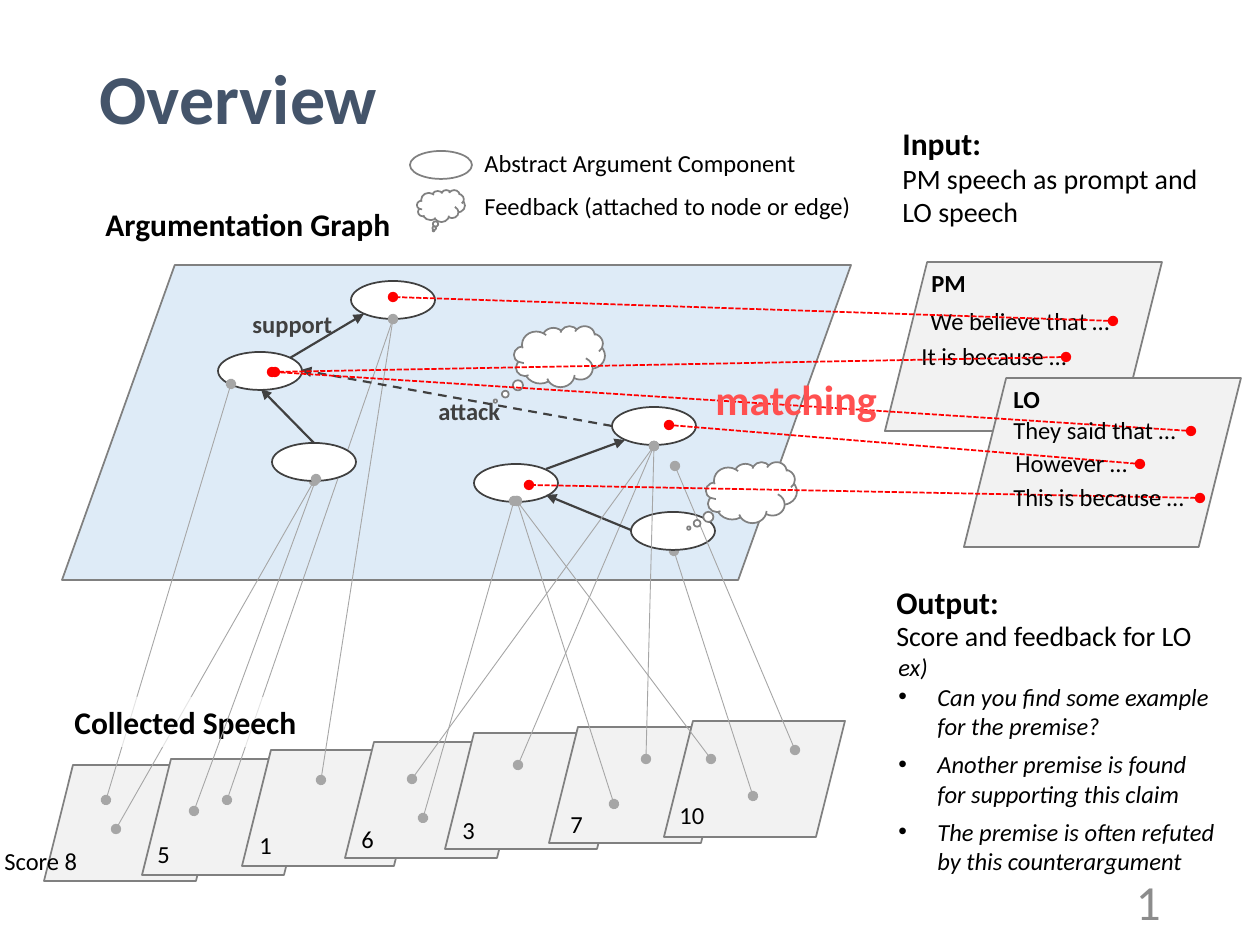
"""Build the overview slide: argumentation graph, collected speeches, input and output."""
from lxml import etree
from pptx import Presentation
from pptx import util as u
from pptx.dml.color import RGBColor
from pptx.enum import shapes, text
from pptx.oxml.ns import qn

SCALE = 914400 / 126
KIND = shapes.MSO_SHAPE
GRAY, DARK, RED, BLACK = "808080", "404040", "FF0000", "000000"

presentation = Presentation()
presentation.slide_width, presentation.slide_height = u.Inches(10), u.Inches(7.5)
slide = presentation.slides.add_slide(presentation.slide_layouts[5])


def px(*lengths):
    return [u.Emu(round(length * SCALE)) for length in lengths]


def color(value):
    return RGBColor.from_string(value)


def add_shape(kind, box, fill="FFFFFF", line=GRAY, adjustments=()):
    shape = slide.shapes.add_shape(kind, *px(*box))
    shape.shadow.inherit = False
    if fill:
        shape.fill.solid()
        shape.fill.fore_color.rgb = color(fill)
    else:
        shape.fill.background()
    if line:
        shape.line.color.rgb = color(line)
        shape.line.width = u.Pt(1)
    else:
        shape.line.fill.background()
    for index, value in enumerate(adjustments):
        shape.adjustments[index] = value
    return shape


def add_line(ends, line, width, dash=None, head=None, tail=None):
    connector = slide.shapes.add_connector(shapes.MSO_CONNECTOR.STRAIGHT, *px(*ends))
    connector.line.color.rgb = color(line)
    connector.line.width = u.Pt(width)
    outline = connector.line._get_or_add_ln()
    for tag, key, value in (("a:prstDash", "val", dash), ("a:headEnd", "type", head),
                            ("a:tailEnd", "type", tail)):
        if value:
            etree.SubElement(outline, qn(tag)).set(key, value)
    etree.SubElement(connector._element.spPr, qn("a:effectLst"))


def add_text(words, box, size=14, ink=BLACK, bold=False, italic=False, wrap=False,
             align=text.PP_ALIGN.LEFT, anchor=text.MSO_ANCHOR.TOP, shape=None):
    shape = shape or slide.shapes.add_textbox(*px(*box))
    shape.left, shape.top, shape.width, shape.height = px(*box)
    frame = shape.text_frame
    frame.word_wrap, frame.vertical_anchor = wrap, anchor
    frame.text = words
    for paragraph in frame.paragraphs:
        paragraph.alignment = align
        for run in paragraph.runs:
            font = run.font
            font.name, font.size, font.bold, font.italic = "Calibri", u.Pt(size), bold, italic
            font.color.rgb = color(ink)
    return shape


title = add_text("Overview", (87, 43, 1086, 117), size=40, ink="44546A", bold=True, wrap=True,
                 anchor=text.MSO_ANCHOR.MIDDLE, shape=slide.shapes.title)
title.text_frame.paragraphs[0].line_spacing = 0.9
add_text("1", (890, 876, 283, 50), size=28, ink="8C8C8C", wrap=True,
         align=text.PP_ALIGN.RIGHT, anchor=text.MSO_ANCHOR.MIDDLE)

speeches = [(44, 765, 181), (142, 759, 171), (242, 750, 181), (345, 742, 181),
            (445, 733, 181), (549, 727, 181), (664, 721, 181)]
for left, top, width in speeches:
    add_shape(KIND.PARALLELOGRAM, (left, top, width, 116), fill="F2F2F2")
add_shape(KIND.PARALLELOGRAM, (62, 265, 789, 315), fill="DEEBF7", adjustments=[0.358])
for left, top in ((885, 262), (964, 378)):
    add_shape(KIND.PARALLELOGRAM, (left, top, 277, 169), fill="F2F2F2")

links_behind = [(314, 481, 116, 829), (674, 551, 753, 796), (393, 319, 227, 800)]
links = [(231, 384, 106, 800), (517, 501, 614, 804), (514, 501, 423, 818),
         (654, 446, 646, 759), (654, 446, 518, 765), (393, 319, 321, 780)]
links_front = [(517, 501, 711, 759), (654, 446, 412, 779),
               (675, 466, 795, 750), (316, 479, 194, 811)]
link_style = dict(line="A6A6A6", width=0.5, head="oval", tail="oval")

for ends in links_behind:
    add_line(ends, **link_style)
for left, top in ((218, 352), (351, 281), (474, 464), (612, 407), (631, 512), (272, 443)):
    add_shape(KIND.OVAL, (left, top, 84, 38), line=DARK)
for ends in links:
    add_line(ends, **link_style)
for ends, dash in (((290, 358, 364, 314), None), ((546, 469, 625, 440), None),
                   ((631, 530, 546, 495), None), ((314, 443, 261, 389), None),
                   ((612, 426, 301, 370), "dash")):
    add_line(ends, DARK, 1.25, dash=dash, tail="triangle")

heading = add_shape(KIND.RECTANGLE, (62, 697, 247, 50), line=None)
fill_color = heading._element.spPr.find(qn("a:solidFill"))[0]
etree.SubElement(fill_color, qn("a:alpha")).set("val", "70000")
add_text("Collected Speech", (62, 697, 247, 50), size=18, bold=True, shape=heading)
for ends in links_front:
    add_line(ends, **link_style)

add_shape(KIND.OVAL, (410, 151, 62, 28))
for box, fill, tip in (((417, 190, 48, 32), None, (-0.154, 0.768)),
                       ((706, 462, 91, 61), "FFFFFF", (-0.689, 0.584)),
                       ((514, 326, 91, 61), "FFFFFF", (-0.705, 0.731))):
    add_shape(KIND.CLOUD_CALLOUT, box, fill=fill, adjustments=tip)

red_dashes = dict(line=RED, width=1, dash="sysDash", head="oval", tail="oval")
for ends in ((1191, 431, 275, 372), (1140, 464, 669, 425), (1200, 498, 529, 485)):
    add_line(ends, **red_dashes)

for words, left, top, width, size, bold, ink in (
        ("Argumentation Graph", 93, 199, 312, 18, True, BLACK),
        ("Input:", 890, 118, 105, 18, True, BLACK),
        ("Output:", 884, 577, 129, 18, True, BLACK),
        ("Score and feedback for LO", 884, 612, 329, 16, False, BLACK),
        ("matching", 703, 367, 189, 24, True, "FF5050"),
        ("Abstract Argument Component", 472, 142, 340, 14, False, BLACK),
        ("Feedback (attached to node or edge)", 472, 185, 396, 14, False, BLACK),
        ("support", 240, 303, 106, 14, True, DARK),
        ("attack", 426, 390, 88, 14, True, DARK),
        ("PM", 919, 262, 60, 14, True, BLACK),
        ("We believe that …", 918, 300, 223, 14, False, BLACK),
        ("It is because …", 909, 335, 223, 14, False, BLACK),
        ("LO", 1001, 378, 52, 14, True, BLACK),
        ("They said that …", 1001, 409, 189, 14, False, BLACK),
        ("However …", 1003, 442, 139, 14, False, BLACK),
        ("This is because …", 1001, 476, 198, 14, False, BLACK),
        ("Score 8", -8, 840, 98, 14, False, BLACK),
        ("5", 145, 833, 38, 14, False, BLACK),
        ("1", 247, 824, 38, 14, False, BLACK),
        ("6", 349, 818, 38, 14, False, BLACK),
        ("3", 450, 809, 38, 14, False, BLACK),
        ("7", 558, 803, 38, 14, False, BLACK),
        ("10", 667, 794, 50, 14, False, BLACK)):
    add_text(words, (left, top, width, 43), size=size, bold=bold, ink=ink,
             wrap=words.startswith(("We", "It")))
add_text("PM speech as prompt and LO speech", (890, 155, 349, 81), size=16, wrap=True)

examples = add_text("ex)\nCan you find some example for the premise?\n"
                    "Another premise is found for supporting this claim\n"
                    "The premise is often refuted by this counterargument",
                    (886, 646, 346, 244), italic=True, wrap=True)
for number, paragraph in enumerate(examples.text_frame.paragraphs[1:]):
    paragraph.space_before = u.Pt(5 if number else 0)
    properties = paragraph._p.get_or_add_pPr()
    indent = px(39)[0]
    properties.set("marL", str(indent))
    properties.set("indent", str(-indent))
    etree.SubElement(properties, qn("a:buFont")).set("typeface", "Arial")
    etree.SubElement(properties, qn("a:buChar")).set("char", "•")

for ends in ((1113, 321, 393, 297), (1066, 357, 272, 372)):
    add_line(ends, **red_dashes)

presentation.save("out.pptx")
